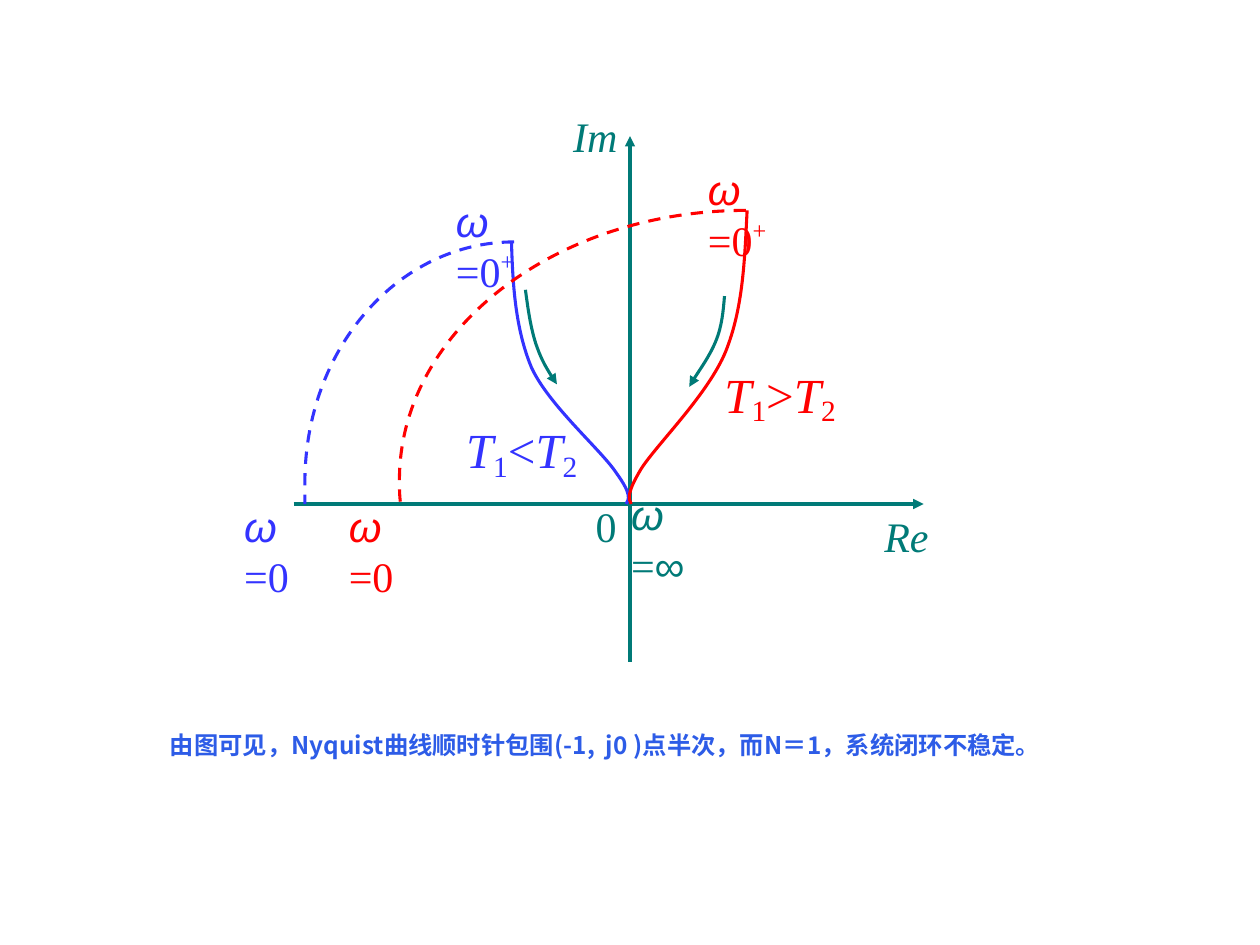
from dataclasses import dataclass

from lxml.etree import SubElement
from pptx import Presentation
from pptx.dml.color import RGBColor
from pptx.enum.dml import MSO_LINE
from pptx.enum.shapes import MSO_CONNECTOR
from pptx.oxml.ns import qn
from pptx.util import Inches, Pt

GREEN, BLUE, RED, CAPTION_BLUE = "007A77", "3333FF", "FF0000", "2D5CE7"
SERIF, SANS, CHINESE = "Times New Roman", "Arial", "Noto Sans CJK SC"

Point = tuple[float, float]


@dataclass
class Piece:
    text: str
    font: str = SERIF
    size: int = 24
    italic: bool = False
    bold: bool = False
    baseline: int = 0


@dataclass
class Label:
    left: float
    top: float
    width: float
    height: float
    color: str
    pieces: list[Piece]
    wrap: bool = False
    line_spacing: float = 1.0


@dataclass
class Curve:
    points: list[Point]
    color: str
    dashed: bool = False
    arrow: bool = False


def rgb(color: str) -> RGBColor:
    return RGBColor.from_string(color)


def style_line(shape, color: str, dashed: bool, arrow: bool) -> None:
    shape.line.color.rgb = rgb(color)
    shape.line.width = Pt(1.75)
    if dashed:
        shape.line.dash_style = MSO_LINE.DASH
    if arrow:
        SubElement(shape.line._get_or_add_ln(), qn("a:tailEnd"), type="triangle")


def add_axis(slide, start: Point, end: Point) -> None:
    axis = slide.shapes.add_connector(
        MSO_CONNECTOR.STRAIGHT, *(Inches(value) for value in start + end)
    )
    style_line(axis, GREEN, dashed=False, arrow=True)
    SubElement(axis._element.spPr, qn("a:effectLst"))


def bend_segments(shape) -> None:
    outline = shape._element.find(".//" + qn("a:path"))
    segments = outline.findall(qn("a:lnTo"))
    for first in range(0, len(segments), 3):
        bend = SubElement(outline, qn("a:cubicBezTo"))
        for segment in segments[first:first + 3]:
            bend.append(segment[0])
            outline.remove(segment)


def add_curve(slide, curve: Curve) -> None:
    start, *others = [(Inches(x), Inches(y)) for x, y in curve.points]
    builder = slide.shapes.build_freeform(*start)
    builder.add_line_segments(others, close=False)
    shape = builder.convert_to_shape()
    bend_segments(shape)
    shape.shadow.inherit = False
    shape.fill.background()
    style_line(shape, curve.color, curve.dashed, curve.arrow)


def add_label(slide, label: Label) -> None:
    box = slide.shapes.add_textbox(
        Inches(label.left), Inches(label.top), Inches(label.width), Inches(label.height)
    )
    box.text_frame.word_wrap = label.wrap
    if not label.wrap:
        box.text_frame.margin_right = Inches(0.05)
    paragraph = box.text_frame.paragraphs[0]
    paragraph.line_spacing = label.line_spacing
    for piece in label.pieces:
        run = paragraph.add_run()
        run.text = piece.text
        run.font.name = piece.font
        run.font.size = Pt(piece.size)
        run.font.italic = piece.italic
        run.font.bold = piece.bold
        run.font.color.rgb = rgb(label.color)
        properties = run._r.get_or_add_rPr()
        SubElement(properties, qn("a:ea"), typeface=piece.font)
        if piece.baseline:
            properties.set("baseline", str(piece.baseline * 1000))


def omega(*value: Piece) -> list[Piece]:
    return [Piece("ω", SANS, italic=True), *value]


def time_constants(relation: str) -> list[Piece]:
    def constant(index: str) -> list[Piece]:
        return [Piece("T", size=28, italic=True), Piece(index, size=29, baseline=-16)]

    return [*constant("1"), Piece(relation, size=28), *constant("2")]


ZERO = omega(Piece(" =0"))
ZERO_PLUS = omega(Piece(" =0"), Piece("+", baseline=40))
INFINITY = omega(Piece(" ="), Piece("∞", SANS))
CAPTION = "由图可见，Nyquist曲线顺时针包围(-1,  j0 )点半次，而N＝1，系统闭环不稳定。"

AXES = [((2.33, 4), (7.33, 4)), ((5, 5.25), (5, 1.08))]

CURVES = [
    Curve([(4.06, 1.92), (4.07, 2.26), (4.09, 2.61), (4.22, 2.92), (4.36, 3.22),
           (4.77, 3.57), (4.89, 3.75), (5.02, 3.93), (4.99, 3.96), (4.97, 4)], BLUE),
    Curve([(5.93, 1.67), (5.91, 2.06), (5.9, 2.44), (5.76, 2.79), (5.62, 3.13),
           (5.22, 3.52), (5.09, 3.72), (4.97, 3.92), (4.99, 3.96), (5.01, 4)], RED),
    Curve([(4.08, 1.92), (3.16, 1.92), (2.42, 2.77), (2.42, 3.83),
           (2.42, 3.89), (2.42, 3.94), (2.42, 4)], BLUE, dashed=True),
    Curve([(5.92, 1.67), (4.4, 1.67), (3.17, 2.63), (3.17, 3.81),
           (3.17, 3.87), (3.17, 3.94), (3.18, 4)], RED, dashed=True),
    Curve([(5.75, 2.35), (5.74, 2.47), (5.73, 2.59), (5.68, 2.71),
           (5.63, 2.83), (5.5, 3.01), (5.47, 3.07)], GREEN, arrow=True),
    Curve([(4.17, 2.3), (4.19, 2.45), (4.21, 2.59), (4.25, 2.72),
           (4.29, 2.84), (4.35, 2.95), (4.42, 3.05)], GREEN, arrow=True),
]

LABELS = [
    Label(3.6, 3.27, 1.08, 0.62, BLUE, time_constants("<")),
    Label(5.65, 2.83, 1.08, 0.62, RED, time_constants(">")),
    Label(2.67, 3.92, 0.86, 0.5, RED, ZERO, wrap=True),
    Label(4.91, 3.83, 0.95, 0.5, GREEN, INFINITY, wrap=True),
    Label(4.63, 3.92, 0.36, 0.5, GREEN, [Piece("0")]),
    Label(3.52, 1.5, 0.97, 0.5, BLUE, ZERO_PLUS, wrap=True),
    Label(6.92, 4, 0.55, 0.5, GREEN, [Piece("Re", italic=True)]),
    Label(4.45, 0.83, 0.55, 0.5, GREEN, [Piece("Im", italic=True)]),
    Label(1.84, 3.92, 0.86, 0.5, BLUE, ZERO, wrap=True),
    Label(5.52, 1.25, 0.97, 0.5, RED, ZERO_PLUS, wrap=True),
    Label(1.25, 5.49, 8.27, 0.59, CAPTION_BLUE,
          [Piece(CAPTION, CHINESE, bold=True, baseline=-16)],
          wrap=True, line_spacing=1.15),
]


def main() -> None:
    presentation = Presentation()
    presentation.slide_width = Inches(10)
    presentation.slide_height = Inches(7.5)
    slide = presentation.slides.add_slide(presentation.slide_layouts[6])
    for start, end in AXES:
        add_axis(slide, start, end)
    for curve in CURVES:
        add_curve(slide, curve)
    for label in LABELS:
        add_label(slide, label)
    presentation.save("out.pptx")


if __name__ == "__main__":
    main()
